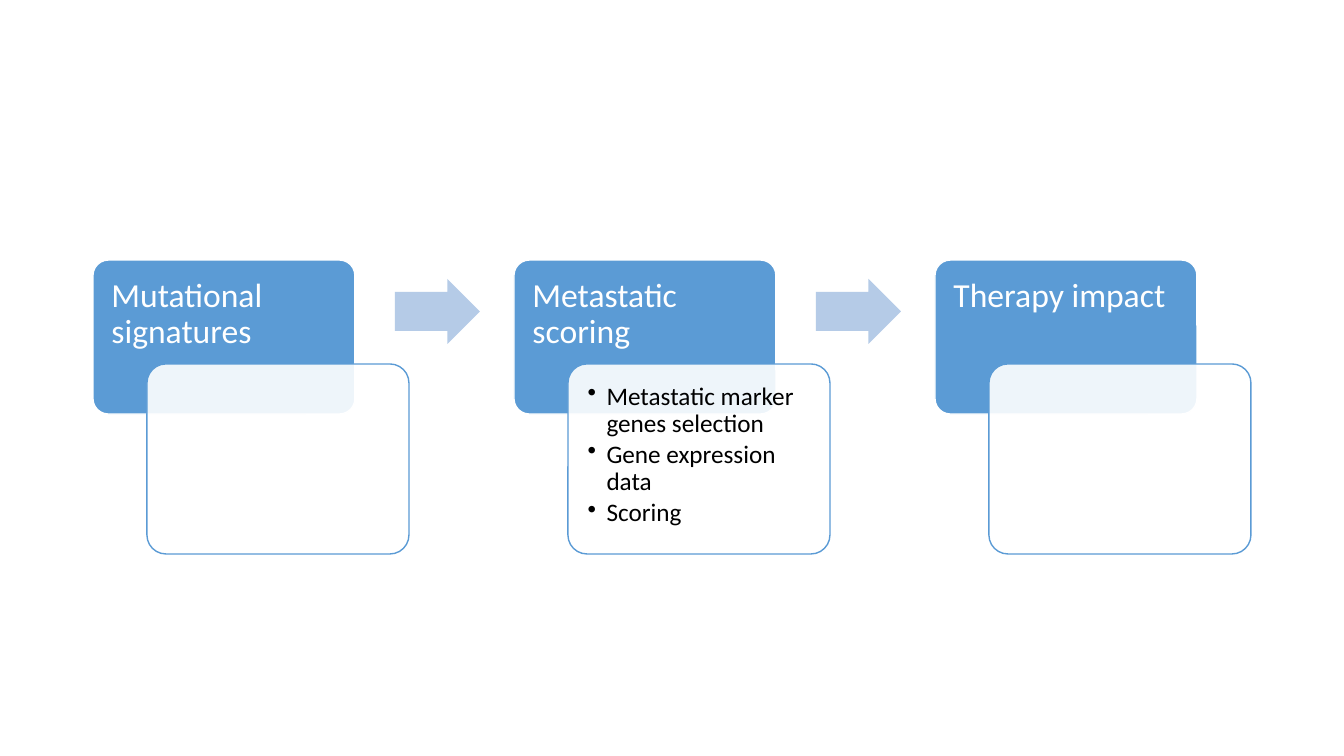
import pptx
import pptx.dml.color
import pptx.enum.shapes
import pptx.enum.text
import pptx.oxml.ns
import pptx.util
from lxml import etree

STAGES = [
    ("Mutational signatures", []),
    ("Metastatic scoring", ["Metastatic marker genes selection", "Gene expression data", "Scoring"]),
    ("Therapy impact", []),
]
COLORS = {"blue": "5B9BD5", "arrow": "B5CBE7", "white": "FFFFFF", "black": "000000"}
FONT = "Calibri"

EMU_PER_PX = 914400 / 100.8
SLIDE_SIZE = (1344, 756)
STAGE_PITCH = 421
HEADING_BOX = (93, 260, 262, 154)
DETAIL_BOX = (147, 364, 262, 190)
ARROW_BOX = (395, 279, 85, 65)
TEXT_INSET = 14
BULLET_INDENT = 19

SHAPES = pptx.enum.shapes.MSO_SHAPE


def px(length):
    return pptx.util.Emu(round(length * EMU_PER_PX))


def rgb(name):
    return pptx.dml.color.RGBColor.from_string(COLORS[name])


def add_box(slide, kind, box, stage, adjustments, fill, line=None):
    left, top, width, height = box
    shape = slide.shapes.add_shape(
        kind, px(left + stage * STAGE_PITCH), px(top), px(width), px(height))
    shape.shadow.inherit = False
    for index, value in enumerate(adjustments):
        shape.adjustments[index] = value
    shape.fill.solid()
    shape.fill.fore_color.rgb = rgb(fill)
    if line:
        shape.line.color.rgb = rgb(line)
        shape.line.width = pptx.util.Pt(1)
    else:
        shape.line.fill.background()
    return shape


def set_opacity(shape, percent):
    color = shape.fill._xPr.find(".//" + pptx.oxml.ns.qn("a:srgbClr"))
    etree.SubElement(color, pptx.oxml.ns.qn("a:alpha"), val=str(percent * 1000))


def add_bullet(paragraph):
    properties = paragraph._p.get_or_add_pPr()
    properties.set("marL", str(px(BULLET_INDENT)))
    properties.set("indent", str(-px(BULLET_INDENT)))
    etree.SubElement(properties, pptx.oxml.ns.qn("a:buChar"), char="•")


def write_lines(shape, lines, size, color, space_after=0, bulleted=False):
    frame = shape.text_frame
    frame.word_wrap = True
    frame.vertical_anchor = pptx.enum.text.MSO_ANCHOR.TOP
    frame.margin_left = frame.margin_right = px(TEXT_INSET)
    frame.margin_top = frame.margin_bottom = px(TEXT_INSET)
    for index, line in enumerate(lines):
        paragraph = frame.add_paragraph() if index else frame.paragraphs[0]
        paragraph.text = line
        paragraph.alignment = pptx.enum.text.PP_ALIGN.LEFT
        paragraph.line_spacing = 0.9
        paragraph.space_after = pptx.util.Pt(space_after)
        if bulleted:
            add_bullet(paragraph)
        paragraph.font.name = FONT
        paragraph.font.size = pptx.util.Pt(size)
        paragraph.font.color.rgb = rgb(color)


def main():
    deck = pptx.Presentation()
    deck.slide_width, deck.slide_height = map(px, SLIDE_SIZE)
    slide = deck.slides.add_slide(deck.slide_layouts[6])

    for stage, (title, details) in enumerate(STAGES):
        heading = add_box(slide, SHAPES.ROUNDED_RECTANGLE, HEADING_BOX, stage, [0.1], "blue", "white")
        write_lines(heading, [title], 24, "white")
        detail = add_box(slide, SHAPES.ROUNDED_RECTANGLE, DETAIL_BOX, stage, [0.1], "white", "blue")
        set_opacity(detail, 90)
        write_lines(detail, details, 18, "black", space_after=2.7, bulleted=True)
        if stage < len(STAGES) - 1:
            add_box(slide, SHAPES.RIGHT_ARROW, ARROW_BOX, stage, [0.6, 0.5], "arrow")

    deck.save("out.pptx")


if __name__ == "__main__":
    main()
